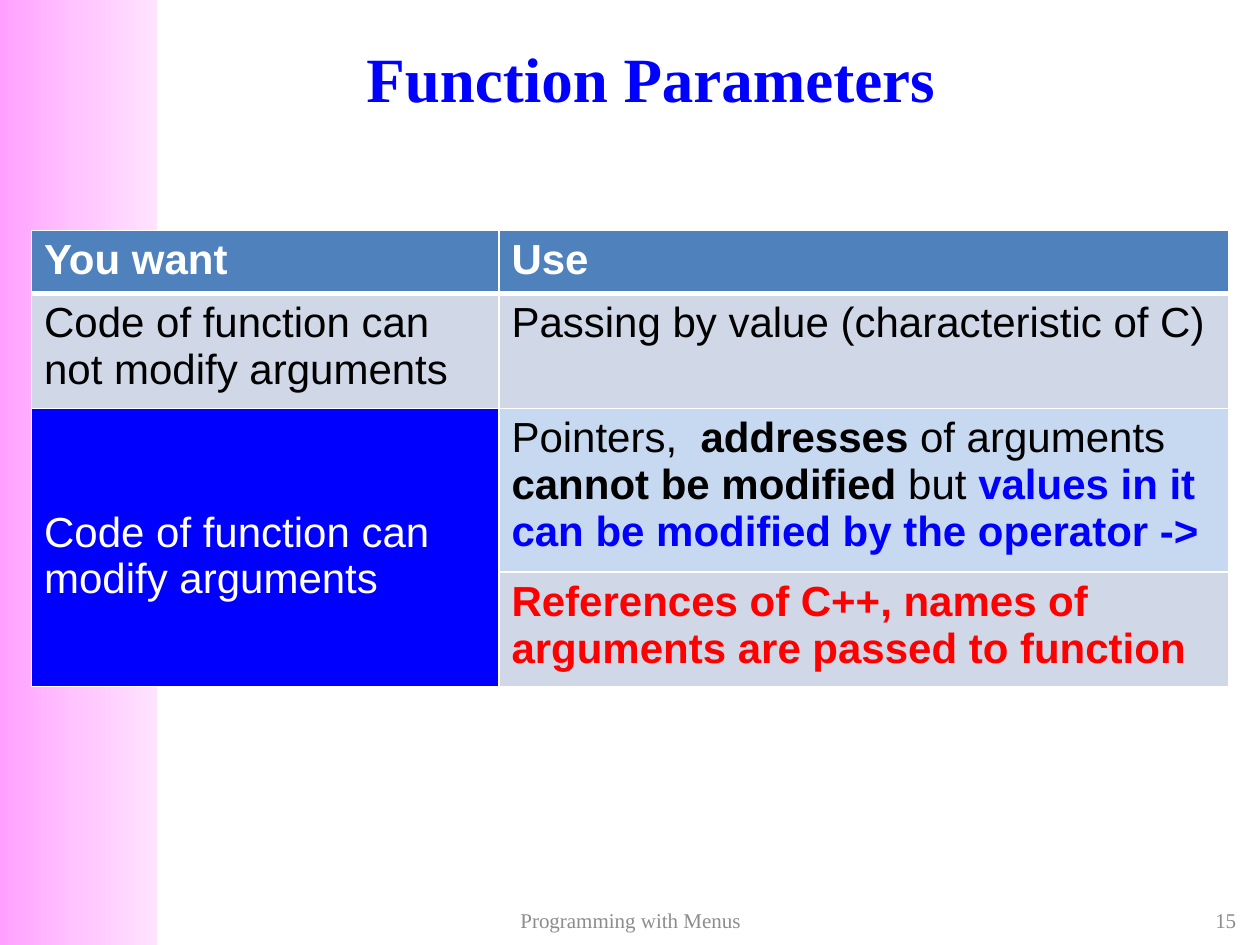
from copy import deepcopy
from dataclasses import dataclass

from lxml import etree
from pptx import Presentation
from pptx import util as u
from pptx.dml.color import RGBColor
from pptx.enum import shapes, text
from pptx.oxml.ns import qn


@dataclass(frozen=True)
class Theme:
    """Colours, fonts and type sizes."""
    white: str = "FFFFFF"
    black: str = "000000"
    blue: str = "0000FF"
    red: str = "FF0000"
    gray: str = "8C8C8C"
    head: str = "4F81BD"
    band: str = "D0D8E8"
    pale: str = "C6D9F1"
    fade: tuple = ("FFA0FF", "FFC5FF", "FFE3FF")
    serif: str = "Times New Roman"
    sans: str = "Arial"
    title: int = 36
    body: int = 24
    foot: int = 12


def write(frame, runs, font, size, color, bold=False, align=text.PP_ALIGN.LEFT):
    """Write runs given as a string or (text, bold, color) tuples."""
    if isinstance(runs, str):
        runs = [(runs, bold, color)]
    frame.word_wrap = True
    para = frame.paragraphs[0]
    para.alignment = align
    for words, heavy, tint in runs:
        run = para.add_run()
        run.text = words
        run.font.name = font
        run.font.size = u.Pt(size)
        run.font.bold = heavy
        run.font.color.rgb = RGBColor.from_string(tint)


def edge(cell, side, color, width):
    """Draw one border of a table cell."""
    line = etree.SubElement(cell._tc.get_or_add_tcPr(), qn(f"a:ln{side}"),
                            w=str(u.Pt(width)))
    fill = etree.SubElement(line, qn("a:solidFill"))
    etree.SubElement(fill, qn("a:srgbClr"), val=color)


class Page:
    """The current slide and its style."""

    def __init__(self, slide, theme):
        """Keep the slide and the theme."""
        self.slide, self.theme = slide, theme

    def stripe(self, box, colors):
        """Add a rectangle that fades evenly from left to right."""
        shape = self.slide.shapes.add_shape(
            shapes.MSO_SHAPE.RECTANGLE, *map(u.Inches, box))
        shape.shadow.inherit = False
        shape.line.fill.background()
        shape.fill.gradient()
        shape.fill.gradient_angle = 0
        stops = shape.element.spPr.find(".//" + qn("a:gsLst"))
        stops.insert(1, deepcopy(stops[0]))
        for i, (stop, color) in enumerate(zip(shape.fill.gradient_stops, colors)):
            stop.position = i / (len(colors) - 1)
            stop.color.rgb = RGBColor.from_string(color)

    def label(self, box, words, **style):
        """Add a text box centred on its height."""
        frame = self.slide.shapes.add_textbox(*map(u.Inches, box)).text_frame
        frame.vertical_anchor = text.MSO_ANCHOR.MIDDLE
        write(frame, words, self.theme.serif, **style)

    def table(self, box, cols, rows, data):
        """Add a table of (runs, fill, color, bold) cells; None marks a merge."""
        th = self.theme
        grid = self.slide.shapes.add_table(
            len(rows), len(cols), *map(u.Inches, box)).table
        for col, width in zip(grid.columns, cols):
            col.width = u.Inches(width)
        for r, (row, height) in enumerate(zip(grid.rows, rows)):
            row.height = u.Inches(height)
            for c, item in enumerate(data[r]):
                cell = grid.cell(r, c)
                for side in "LRTB":
                    thick = (r, side) in ((0, "B"), (1, "T"))
                    edge(cell, side, th.white, 3 if thick else 1)
                if item is None:
                    grid.cell(r - 1, c).merge(cell)
                    continue
                runs, fill, color, bold = item
                cell.fill.solid()
                cell.fill.fore_color.rgb = RGBColor.from_string(fill)
                write(cell.text_frame, runs, th.sans, th.body, color, bold)
        return grid


def main():
    """Build the slide and save it."""
    deck = Presentation()
    deck.slide_width, deck.slide_height = u.Inches(10), u.Inches(7.5)
    th = Theme()
    page = Page(deck.slides.add_slide(deck.slide_layouts[6]), th)
    mid, right = text.PP_ALIGN.CENTER, text.PP_ALIGN.RIGHT

    page.stripe((0, 0, 1.25, 7.5), th.fade)
    page.label((0.83, 0.3, 8.67, 0.62), "Function Parameters",
               size=th.title, color=th.blue, bold=True, align=mid)
    page.label((3.42, 7.17, 3.17, 0.27), "Programming with Menus",
               size=th.foot, color=th.gray, align=mid)
    page.label((7.58, 7.17, 2.33, 0.27), "15",
               size=th.foot, color=th.gray, align=right)

    point = [
        ("Pointers,  ", False, th.black),
        ("addresses", True, th.black),
        (" of arguments", False, th.black),
        (" cannot be modified ", True, th.black),
        ("but ", False, th.black),
        ("values in it can be modified by the operator ->", True, th.blue),
    ]
    data = [
        [("You want", th.head, th.white, True),
         ("Use", th.head, th.white, True)],
        [("Code of function can not modify arguments", th.band, th.black, False),
         ("Passing by value (characteristic of C)", th.band, th.black, False)],
        [("Code of function can modify arguments", th.blue, th.white, False),
         (point, th.pale, th.black, False)],
        [None,
         ("References of C++, names of arguments are passed to function",
          th.band, th.red, True)],
    ]
    grid = page.table((0.25, 1.83, 9.5, 3.62), (3.71, 5.79),
                      (0.39, 0.91, 0.91, 0.91), data)
    grid.cell(2, 0).margin_top = u.Inches(0.8)
    deck.save("out.pptx")


main()
